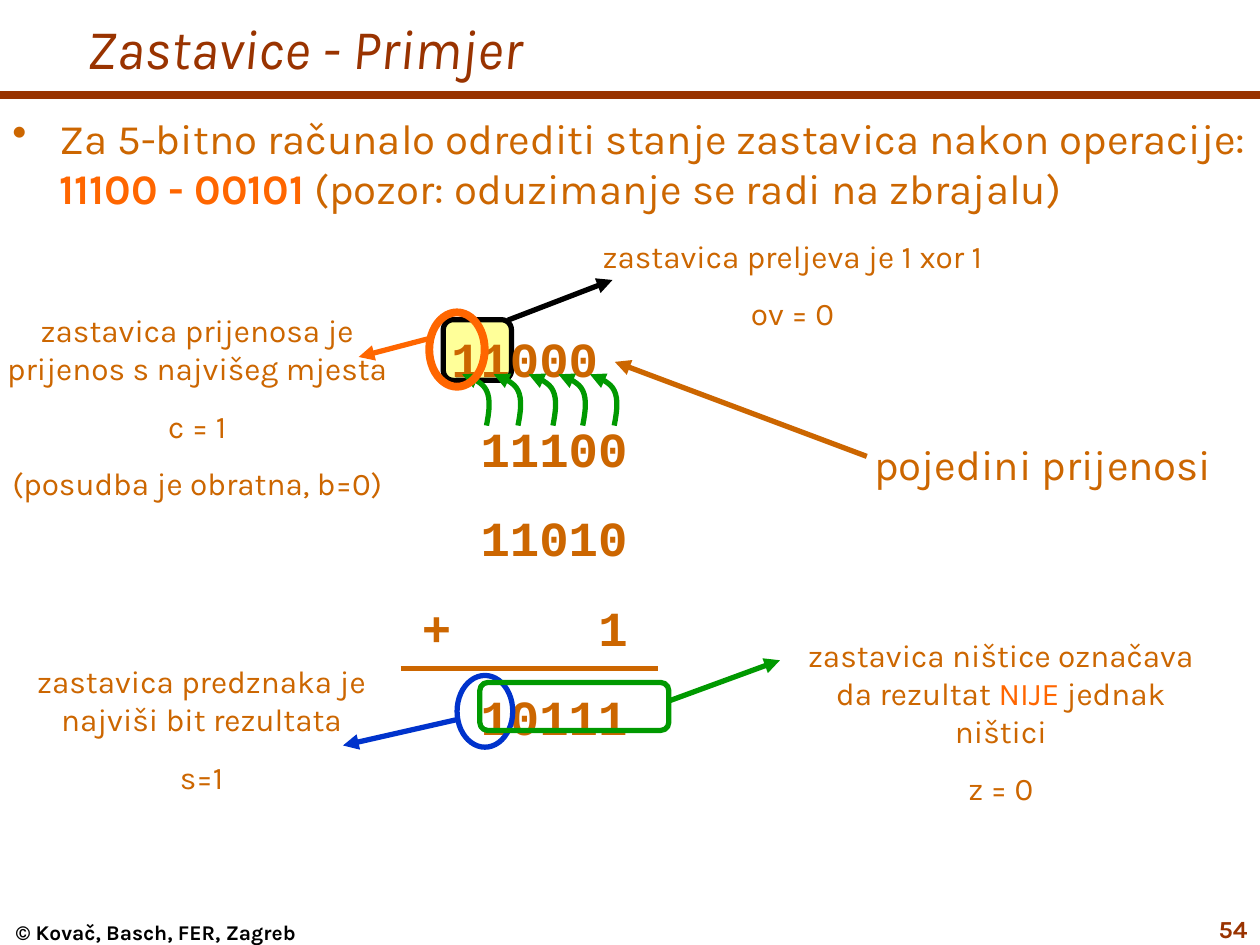
import pptx
import pptx.dml.color
import pptx.enum.shapes
import pptx.enum.text
import pptx.oxml
import pptx.oxml.ns
import pptx.util

Pt = pptx.util.Pt
SHAPE = pptx.enum.shapes.MSO_SHAPE
ALIGN = pptx.enum.text.PP_ALIGN
ANCHOR = pptx.enum.text.MSO_ANCHOR
COLORS = {
    "brown": "993300", "text": "CC6600", "orange": "FF6600", "black": "000000",
    "yellow": "FFFF99", "green": "009900", "blue": "0033CC",
}
CHARACTER = 16.8


def rgb(name):
    """Return the named colour."""
    return pptx.dml.color.RGBColor.from_string(COLORS[name])


def append_xml(parent, tag, content="", **attributes):
    """Append a drawing element to the parent."""
    values = "".join(f' {key}="{value}"' for key, value in attributes.items())
    namespace = pptx.oxml.ns.nsdecls("a")
    parent.append(pptx.oxml.parse_xml(f"<a:{tag} {namespace}{values}>{content}</a:{tag}>"))


def style_line(shape, color, width, arrow=False):
    """Set the outline of a shape or connector."""
    shape.line.color.rgb = rgb(color)
    shape.line.width = Pt(width)
    if arrow:
        append_xml(shape.line._get_or_add_ln(), "tailEnd", type="triangle")


def add_line(slide, start, end, color, width=3, arrow=True):
    """Add a straight line, by default with an arrowhead."""
    connector = slide.shapes.add_connector(
        pptx.enum.shapes.MSO_CONNECTOR.STRAIGHT, *map(Pt, start + end))
    style_line(connector, color, width, arrow)
    append_xml(connector._element.spPr, "effectLst")


def add_frame(slide, kind, box, color, width=3, fill=None):
    """Add an outlined shape around digits."""
    shape = slide.shapes.add_shape(kind, *map(Pt, box))
    shape.shadow.inherit = False
    if fill:
        shape.fill.solid()
        shape.fill.fore_color.rgb = rgb(fill)
    else:
        shape.fill.background()
    style_line(shape, color, width)


def bezier(points, steps=8):
    """Return points along a cubic curve, without its start."""
    result = []
    for step in range(1, steps + 1):
        t = step / steps
        weights = ((1 - t) ** 3, 3 * t * (1 - t) ** 2, 3 * t * t * (1 - t), t ** 3)
        result.append(tuple(sum(w * p[axis] for w, p in zip(weights, points))
                            for axis in (0, 1)))
    return result


def add_carry_arrow(slide, x, y):
    """Add a curved arrow from a digit up to its carry."""
    lower = [(0, 0), (1.5, -7.5), (2.5, -15), (0, -20)]
    upper = [(0, -20), (-2, -24.4), (-8, -27.2), (-13.9, -29.3)]
    builder = slide.shapes.build_freeform(Pt(x), Pt(y))
    builder.add_line_segments(
        [(Pt(x + dx), Pt(y + dy)) for dx, dy in bezier(lower) + bezier(upper)], close=False)
    shape = builder.convert_to_shape()
    shape.shadow.inherit = False
    shape.fill.background()
    style_line(shape, "green", 3, arrow=True)


def add_text(slide, box, paragraphs, size=18, color="text", font="Karla", bold=False,
             italic=False, align=ALIGN.CENTER, before=11.2, inset=True, anchor=ANCHOR.TOP):
    """Add a text box; a paragraph is a string or a list of (text, colour, bold) runs."""
    frame = slide.shapes.add_textbox(*map(Pt, box)).text_frame
    frame.word_wrap = True
    frame.vertical_anchor = anchor
    frame.margin_left = frame.margin_right = Pt(7.2 if inset else 0)
    frame.margin_top = frame.margin_bottom = Pt(3.6 if inset else 0)
    for index, content in enumerate(paragraphs):
        paragraph = frame.paragraphs[0] if index == 0 else frame.add_paragraph()
        paragraph.alignment = align
        paragraph.space_before = Pt(before)
        runs = [(content, color, bold)] if isinstance(content, str) else content
        for text, run_color, run_bold in runs:
            run = paragraph.add_run()
            run.text = text
            run.font.name = font
            run.font.size = Pt(size)
            run.font.bold = run_bold
            run.font.italic = italic
            run.font.color.rgb = rgb(run_color)
    return frame.paragraphs


def add_task(slide):
    """Add the bulleted task."""
    runs = [("Za 5-bitno računalo odrediti stanje zastavica nakon operacije: ", "text", False),
            ("11100 - 00101", "orange", True),
            (" (pozor: oduzimanje se radi na zbrajalu)", "text", False)]
    paragraph = add_text(slide, (0, 60.5, 720, 444), [runs], 24,
                         align=ALIGN.LEFT, before=6)[0]
    properties = paragraph._p.get_or_add_pPr()
    properties.set("marL", str(Pt(27)))
    properties.set("indent", str(Pt(-27)))
    append_xml(properties, "buClr", f'<a:srgbClr val="{COLORS["text"]}"/>')
    append_xml(properties, "buChar", char="•")


def add_addition(slide):
    """Add the binary addition with its columns aligned by character width."""
    rows = [("11000", 1), ("11100", 2), ("11010", 2), ("+\t1", 0), ("10111", 2)]
    paragraphs = add_text(slide, (234, 184.3, 155, 245.5), [text for text, _ in rows], 28,
                          font="Courier New", bold=True, align=ALIGN.LEFT, before=17.5)
    for paragraph, (text, column) in zip(paragraphs, rows):
        properties = paragraph._p.get_or_add_pPr()
        properties.set("marL", str(Pt(column * CHARACTER)))
        if "\t" in text:
            stop = f'<a:tab pos="{Pt(6 * CHARACTER)}" algn="l"/>'
            append_xml(properties, "tabLst", stop)


def main():
    """Build the slide about processor flags."""
    presentation = pptx.Presentation()
    presentation.slide_width, presentation.slide_height = Pt(720), Pt(540)
    slide = presentation.slides.add_slide(presentation.slide_layouts[6])

    add_line(slide, (0, 54.5), (720, 54.5), "brown", 4.5, arrow=False)
    add_text(slide, (0, 525.6, 178, 14.4), ["© Kovač, Basch, FER, Zagreb"], 12, "black",
             bold=True, before=7.5, inset=False)
    add_frame(slide, SHAPE.ROUNDED_RECTANGLE, (253.3, 182.7, 39, 34.7), "black", fill="yellow")
    add_text(slide, (42.5, 0, 677.5, 54), ["Zastavice - Primjer"], 32, "brown",
             italic=True, align=ALIGN.LEFT, before=0, anchor=ANCHOR.MIDDLE)
    add_task(slide)
    add_addition(slide)
    for x in (278, 296, 316, 333, 351):
        add_carry_arrow(slide, x, 243.2)
    add_line(slide, (229, 382.2), (376, 382.2), "text", arrow=False)

    add_text(slide, (489, 247, 214, 36), ["pojedini prijenosi"], 24, before=15)
    add_line(slide, (495.3, 260.8), (351.3, 206.8), "text")

    add_frame(slide, SHAPE.OVAL, (261.2, 386, 31.8, 41), "blue")
    add_line(slide, (262, 411), (196, 426), "blue")
    add_text(slide, (12.2, 375, 206, 83.5),
             ["zastavica predznaka je najviši bit rezultata", "s=1"])

    add_frame(slide, SHAPE.OVAL, (245.3, 178.5, 31.7, 42.5), "orange", 4.5)
    add_line(slide, (247, 193), (205, 204), "orange")
    add_text(slide, (0, 178, 225.5, 108.7),
             ["zastavica prijenosa je prijenos s najvišeg mjesta", "c = 1",
              "(posudba je obratna, b=0)"], inset=False)

    add_text(slide, (443, 360, 257.8, 105),
             [[("zastavica ništice označava da rezultat ", "text", False),
               ("NIJE", "orange", False), (" jednak ništici", "text", False)], "z = 0"])
    add_frame(slide, SHAPE.ROUNDED_RECTANGLE, (274.2, 390, 108, 27.4), "green")
    add_line(slide, (383, 400.3), (445.7, 377.3), "green")

    add_line(slide, (290.2, 183), (350, 160), "black")
    add_text(slide, (324, 131.8, 257.8, 62), ["zastavica preljeva je 1 xor 1", "ov = 0"])
    add_text(slide, (660, 519, 60, 20), ["54"], 14, "brown", bold=True,
             align=ALIGN.RIGHT, before=0)
    presentation.save("out.pptx")


if __name__ == "__main__":
    main()
